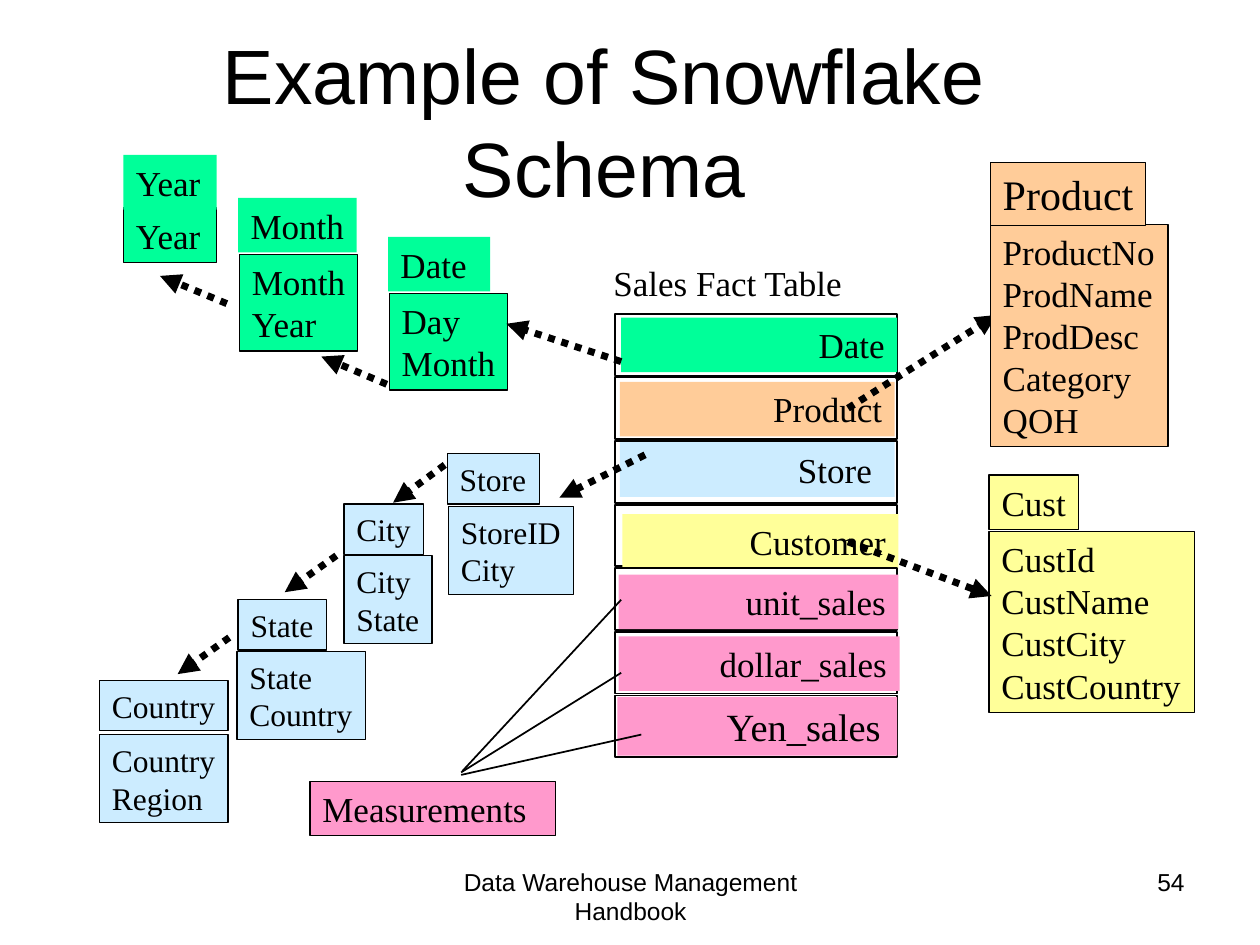
from pptx import Presentation, util as u
from pptx.dml.color import RGBColor
from pptx.enum import dml, shapes, text
from pptx.oxml import parse_xml
from pptx.oxml.ns import nsdecls

THEME = {
    "ink": "000000", "date": "00FF99", "product": "FFCC99", "store": "CCECFF",
    "customer": "FFFF99", "measure": "FF99CC",
    "sans": "Arial", "serif": "Times New Roman",
    "title": 44, "footer": 14, "body": 20, "small": 18, "large": 24, "yen": 22,
    "border": 0.75, "rule": 1, "dots": 4,
}

TITLE = "Example of Snowflake Schema"
FOOTER = "Data Warehouse Management Handbook"
PAGE = "54"
FACT_TITLE = "Sales Fact Table"

FACT_ROWS = [
    ("Date", "date", "body", 4.93, 2.52, 2.19, 0.1),
    ("Product", "product", "body", 4.92, 3.03, 2.18, 0.1),
    ("Store", "store", "body", 4.92, 3.51, 2.18, 0.18),
    ("Customer", "customer", "body", 4.94, 4.08, 2.19, 0.1),
    ("unit_sales", "measure", "body", 4.91, 4.56, 2.22, 0.1),
    ("dollar_sales", "measure", "body", 4.91, 5.05, 2.23, 0.1),
    ("Yen_sales", "measure", "yen", 4.9, 5.53, 2.22, 0.13),
]
ROW_LEFT, ROW_TOP, ROW_WIDTH, ROW_HEIGHT, ROW_PITCH = 4.88, 2.49, 2.24, 0.49, 0.505

DIMENSIONS = [
    ("date", "Year", "body", (0.98, 1.23, 0.74), ["Year"], "body", (0.98, 1.65, 0.74)),
    ("date", "Month", "body", (1.89, 1.57, 0.94), ["Month", "Year"], "body", (1.9, 2.02, 0.94)),
    ("date", "Date", "body", (3.08, 1.88, 0.81), ["Day", "Month"], "body", (3.09, 2.33, 0.94)),
    ("customer", "Cust", "body", (7.85, 3.77, 0.71),
     ["CustId", "CustName", "CustCity", "CustCountry"], "body", (7.85, 4.22, 1.63)),
    ("store", "Store", "small", (3.55, 3.6, 0.73), ["StoreID", "City"], "small", (3.56, 4.02, 0.99)),
    ("store", "City", "small", (2.73, 4, 0.63), ["City", "State"], "small", (2.73, 4.41, 0.7)),
    ("store", "State", "small", (1.89, 4.76, 0.7), ["State", "Country"], "small", (1.88, 5.17, 1.02)),
    ("store", "Country", "small", (0.79, 5.4, 1.02), ["Country", "Region"], "small", (0.79, 5.83, 1.02)),
]
PRODUCT = ("product", "Product", "large", (7.86, 1.29, 1.23),
           ["ProductNo", "ProdName", "ProdDesc", "Category", "QOH"], "body", (7.86, 1.78, 1.41))

REFERENCES = [
    (4.93, 2.87, 4.02, 2.57), (6.73, 4.3, 7.87, 4.73), (6.73, 3.24, 7.91, 2.5),
    (5.12, 3.61, 4.44, 3.95), (3.53, 3.69, 3.12, 3.99), (2.67, 4.41, 2.26, 4.7),
    (1.82, 5.06, 1.41, 5.35), (3.07, 3.05, 2.55, 2.83), (1.8, 2.41, 1.27, 2.19),
]
MEASURE_LINES = [
    (3.67, 6.12, 4.93, 4.76), (3.66, 6.13, 4.93, 5.34), (3.66, 6.15, 5.09, 5.83),
]

deck = Presentation()
deck.slide_width, deck.slide_height = u.Inches(10), u.Inches(7.5)
slide = deck.slides.add_slide(deck.slide_layouts[6])


def color(key):
    return RGBColor.from_string(THEME[key])


def write(holder, lines, size, font="serif", align="LEFT", anchor="TOP", wrap=False, right=0.1):
    frame = holder.text_frame
    frame.word_wrap = wrap
    frame.margin_left, frame.margin_right = u.Inches(0.1), u.Inches(right)
    frame.margin_top = frame.margin_bottom = u.Inches(0.05)
    frame.vertical_anchor = text.MSO_ANCHOR[anchor]
    for index, line in enumerate(lines):
        paragraph = frame.add_paragraph() if index else frame.paragraphs[0]
        paragraph.alignment = text.PP_ALIGN[align]
        run = paragraph.add_run()
        run.text = line
        run.font.name = THEME[font]
        run.font.size = u.Pt(THEME[size])
        run.font.color.rgb = color("ink")


def label(content, place, size, **style):
    write(slide.shapes.add_textbox(*map(u.Inches, place)), [content], size, **style)


def box(place, fill=None, border=None):
    rect = slide.shapes.add_shape(shapes.MSO_SHAPE.RECTANGLE, *map(u.Inches, place))
    rect.shadow.inherit = False
    if fill:
        rect.fill.solid()
        rect.fill.fore_color.rgb = color(fill)
    else:
        rect.fill.background()
    if border:
        rect.line.color.rgb = color("ink")
        rect.line.width = u.Pt(THEME[border])
    else:
        rect.line.fill.background()
    return rect


def text_box(lines, place, fill, size, border="border", **style):
    height = 0.1 + len(lines) * THEME[size] / 60
    write(box((*place, height), fill, border), lines, size, **style)


def dimension(fill, name, name_size, name_place, fields, field_size, field_place):
    text_box(fields, field_place, fill, field_size)
    text_box([name], name_place, fill, name_size, None if fill == "date" else "border",
             wrap=name == "Date")


def line(ends, width, arrow=False):
    link = slide.shapes.add_connector(shapes.MSO_CONNECTOR.STRAIGHT, *map(u.Inches, ends))
    link.line.color.rgb = color("ink")
    link.line.width = u.Pt(THEME[width])
    if arrow:
        link.line.dash_style = dml.MSO_LINE.ROUND_DOT
        link.line._get_or_add_ln().append(parse_xml(f'<a:tailEnd {nsdecls("a")} type="triangle"/>'))
    link._element.spPr.append(parse_xml(f'<a:effectLst {nsdecls("a")}/>'))


label(FOOTER, (3.42, 6.83, 3.17, 0.52), "footer", font="sans", align="CENTER", wrap=True)
label(PAGE, (7.17, 6.83, 2.33, 0.52), "footer", font="sans", align="RIGHT", wrap=True)
label(TITLE, (0.62, 0.5, 8.35, 0.91), "title", font="sans", align="CENTER", anchor="MIDDLE", wrap=True)
label(FACT_TITLE, (4.77, 2.03, 2.04, 0.43), "body")

for index, (field, fill, size, left, top, width, right) in enumerate(FACT_ROWS):
    box((ROW_LEFT, ROW_TOP + index * ROW_PITCH, ROW_WIDTH, ROW_HEIGHT), border="rule")
    text_box([field], (left, top, width), fill, size, None, align="RIGHT", wrap=True, right=right)

text_box(["Measurements"], (2.46, 6.2, 1.95), "measure", "body", wrap=True)
for ends in MEASURE_LINES:
    line(ends, "rule")

for table in DIMENSIONS:
    dimension(*table)
for ends in REFERENCES:
    line(ends, "dots", arrow=True)
dimension(*PRODUCT)

deck.save("out.pptx")
